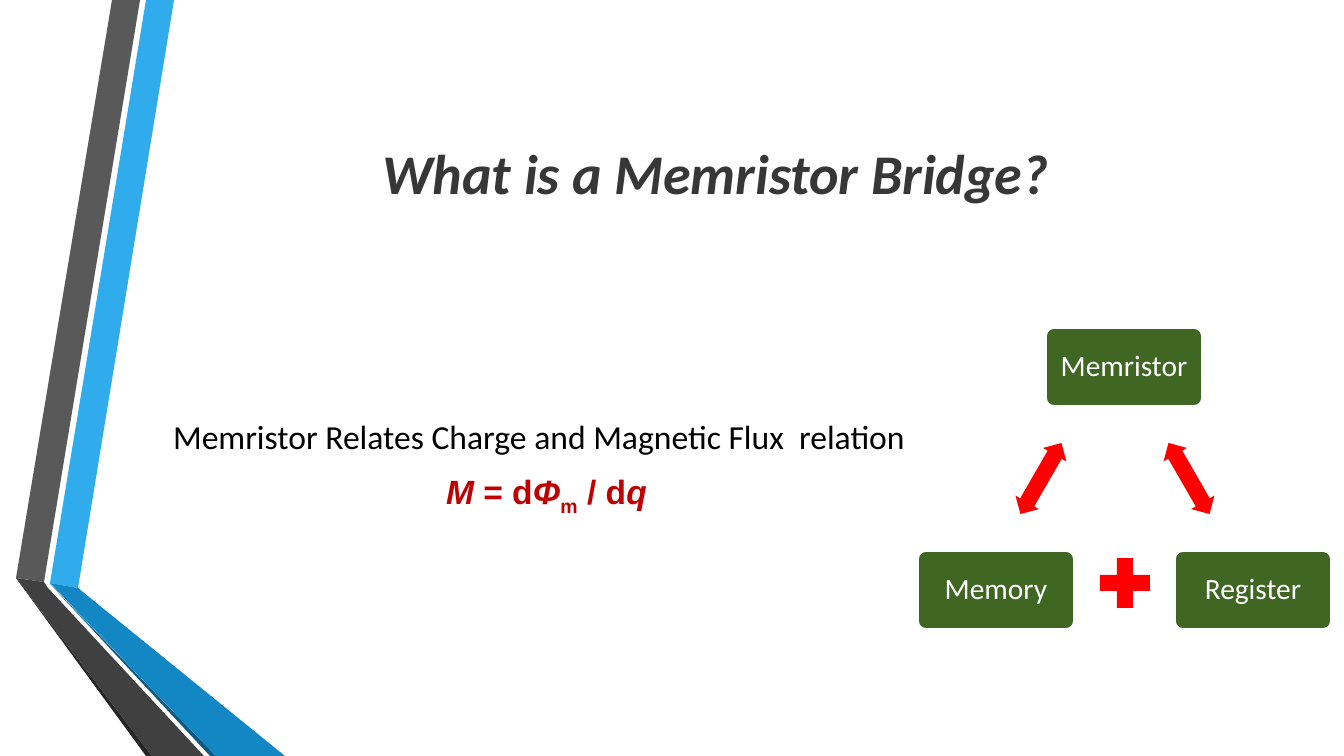
from dataclasses import dataclass

from lxml.etree import SubElement
from pptx import Presentation
from pptx.dml.color import RGBColor
from pptx.enum.shapes import MSO_SHAPE
from pptx.enum.text import MSO_ANCHOR, MSO_AUTO_SIZE, PP_ALIGN
from pptx.oxml.ns import qn
from pptx.util import Pt

PX = 914400 / 100.8


def px(*lengths):
    return [round(n * PX) for n in lengths]


def apply(obj, values):
    for name, value in values.items():
        setattr(obj, name, value)


@dataclass(frozen=True)
class Theme:
    heading: str = "373737"
    text: str = "000000"
    formula: str = "C00000"
    box: str = "3F6623"
    box_text: str = "FFFFFF"
    sign: str = "FF0000"
    cyan: str = "30ACEC"
    blue: str = "1287C3"
    navy: str = "0C5A82"
    grey: str = "595959"
    charcoal: str = "404040"
    black: str = "262626"
    font: str = "Calibri"
    formula_font: str = "Arial"
    title_size: int = 40
    body_size: int = 24
    box_size: int = 21


class SlideBuilder:
    def __init__(self, slide, theme):
        self.s = slide
        self.theme = theme

    def run(self, p, text, size, color, font=None, subscript=False, **style):
        r = p.add_run()
        r.text = text
        apply(r.font, {"name": font or self.theme.font, "size": Pt(size), **style})
        r.font.color.rgb = RGBColor.from_string(color)
        if subscript:
            r._r.get_or_add_rPr().set("baseline", "-25000")

    def paint(self, sp, color):
        sp.shadow.inherit = False
        sp.fill.solid()
        sp.fill.fore_color.rgb = RGBColor.from_string(color)
        sp.line.fill.background()

    def placeholder(self, idx, *box):
        sp = self.s.placeholders[idx]
        apply(sp, dict(zip(("left", "top", "width", "height"), px(*box))))
        tf = sp.text_frame
        apply(tf, {"auto_size": MSO_AUTO_SIZE.NONE, "word_wrap": True,
                   "vertical_anchor": MSO_ANCHOR.MIDDLE})
        return tf

    def title(self, text, *box):
        p = self.placeholder(0, *box).paragraphs[0]
        p.alignment = PP_ALIGN.CENTER
        self.run(p, text, self.theme.title_size, self.theme.heading,
                 bold=True, italic=True)

    def body(self, paragraphs, *box):
        tf = self.placeholder(1, *box)
        for i, (indent, runs) in enumerate(paragraphs):
            p = tf.add_paragraph() if i else tf.paragraphs[0]
            p.space_after = Pt(6)
            pPr = p._p.get_or_add_pPr()
            apply_margin = {"marL": px(indent)[0], "indent": 0}
            for name, value in apply_margin.items():
                pPr.set(name, str(value))
            SubElement(pPr, qn("a:buNone"))
            for text, style in runs:
                self.run(p, text, self.theme.body_size, **style)

    def band(self, color, start, *points):
        fb = self.s.shapes.build_freeform(*start, scale=PX)
        fb.add_line_segments(points, close=True)
        self.paint(fb.convert_to_shape(), color)

    def shape(self, kind, color, box, adjustments=(), rotation=0):
        sp = self.s.shapes.add_shape(kind, *px(*box))
        self.paint(sp, color)
        sp.rotation = rotation
        for i, value in enumerate(adjustments):
            sp.adjustments[i] = value
        return sp

    def box(self, text, x, y):
        sp = self.shape(MSO_SHAPE.ROUNDED_RECTANGLE, self.theme.box,
                        (x, y, 156, 78), [0.1])
        sp.line.color.rgb = RGBColor.from_string(self.theme.box_text)
        sp.line.width = Pt(1.25)
        tf = sp.text_frame
        margin = px(9)[0]
        apply(tf, {"word_wrap": True, "vertical_anchor": MSO_ANCHOR.MIDDLE,
                   "margin_left": margin, "margin_right": margin,
                   "margin_top": margin, "margin_bottom": margin})
        p = tf.paragraphs[0]
        apply(p, {"alignment": PP_ALIGN.CENTER, "line_spacing": 0.9})
        self.run(p, text, self.theme.box_size, self.theme.box_text)

    def double_arrow(self, x, y, rotation):
        self.shape(MSO_SHAPE.LEFT_RIGHT_ARROW, self.theme.sign,
                   (x, y, 82, 27), [0.6, 0.5], rotation)


def main():
    prs = Presentation()
    prs.slide_width, prs.slide_height = px(1344, 756)
    theme = Theme()
    slide = SlideBuilder(prs.slides.add_slide(prs.slide_layouts[1]), theme)

    slide.band(theme.cyan, (50, 583), (78, 588), (174, 0), (146, 0))
    slide.band(theme.grey, (140, 0), (112, 0), (16, 578), (44, 582))
    slide.band(theme.black, (16, 578), (146, 756), (152, 756))
    slide.band(theme.navy, (50, 584), (210, 756), (216, 756))
    slide.band(theme.blue, (50, 583), (216, 756), (285, 756), (78, 588))
    slide.band(theme.charcoal, (204, 756), (48, 588), (44, 582), (16, 578), (152, 756))

    slide.title("What is a Memristor Bridge?", 163, 76, 1105, 193)
    plain = {"color": theme.text}
    upright = {"color": theme.formula, "font": theme.formula_font, "bold": True}
    italic = {**upright, "italic": True}
    slide.body([
        (0, [("Memristor Relates Charge and Magnetic Flux  relation", plain)]),
        (273, [("M", italic), (" = d", upright), ("Φ", italic),
               ("m", {**upright, "subscript": True}),
               (" / d", upright), ("q", italic)]),
    ], 163, 294, 1105, 345)

    for text, x, y in (("Memristor", 1046, 328), ("Register", 1175, 551),
                       ("Memory", 918, 551)):
        slide.box(text, x, y)
    for x, rotation in ((1148, 60), (1000, 300)):
        slide.double_arrow(x, 465, rotation)
    slide.shape(MSO_SHAPE.MATH_PLUS, theme.sign, (1091, 549, 68, 68))

    prs.save("out.pptx")


if __name__ == "__main__":
    main()
